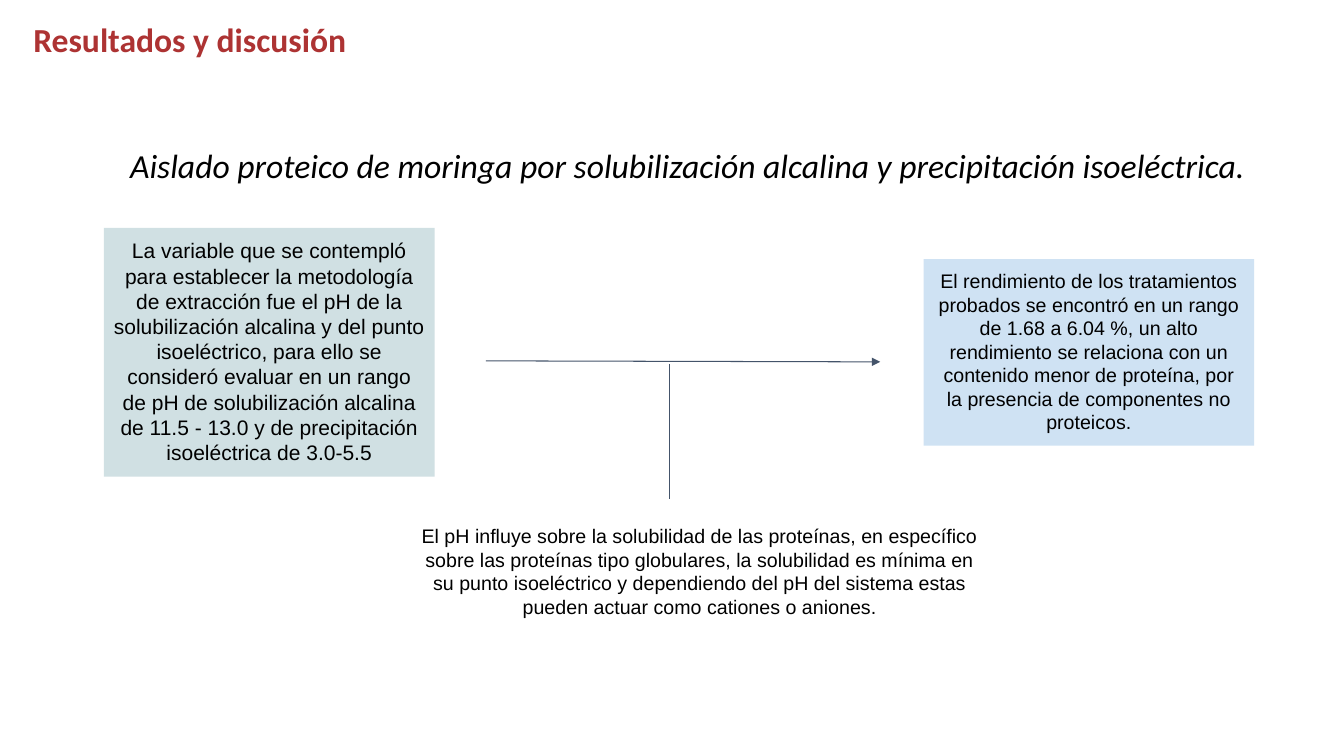
from dataclasses import dataclass
from typing import Optional

from lxml.etree import SubElement
from pptx import Presentation
from pptx.dml.color import RGBColor
from pptx.enum.shapes import MSO_CONNECTOR as Connector, MSO_SHAPE as Preset
from pptx.enum.text import MSO_ANCHOR as Anchor, MSO_AUTO_SIZE as AutoSize, PP_ALIGN as Align
from pptx.oxml.ns import qn
from pptx.util import Inches, Pt

BLACK = "000000"
RED = "AD3333"
SLATE = "44546A"


@dataclass
class Note:
    text: str
    left: float
    top: float
    width: float
    height: float
    size: int
    fill: Optional[str] = None


@dataclass
class Link:
    start: tuple[float, float]
    end: tuple[float, float]
    arrow: bool = False


NOTES = [
    Note("La variable que se contempló para establecer la metodología de extracción fue "
         "el pH de la solubilización alcalina y del punto isoeléctrico, para ello se "
         "consideró evaluar en un rango de pH de solubilización alcalina de 11.5 - 13.0 "
         "y de precipitación isoeléctrica de 3.0-5.5",
         1.03, 2.26, 3.28, 2.47, 15, "D0E0E3"),
    Note("El pH influye sobre la solubilidad de las proteínas, en específico sobre las "
         "proteínas tipo globulares, la solubilidad es mínima en su punto isoeléctrico y "
         "dependiendo del pH del sistema estas pueden actuar como cationes o aniones.",
         4, 5.1, 5.88, 1.14, 14),
    Note("El rendimiento de los tratamientos probados se encontró en un rango de 1.68 a "
         "6.04 %, un alto rendimiento se relaciona con un contenido menor de proteína, "
         "por la presencia de componentes no proteicos.",
         9.16, 2.57, 3.28, 1.85, 14, "CFE2F3"),
]
LINKS = [
    Link((4.82, 3.58), (8.73, 3.59), arrow=True),
    Link((6.64, 3.61), (6.64, 4.95)),
]


def rgb(value: str) -> RGBColor:
    return RGBColor.from_string(value)


def style_text(paragraph, font_name: str, size: int, color: str,
               bold: bool = False, italic: bool = False) -> None:
    for run in paragraph.runs:
        font = run.font
        font.name, font.size = font_name, Pt(size)
        font.bold, font.italic = bold, italic
        font.color.rgb = rgb(color)


def fill_placeholder(holder, text: str, left: float, top: float, width: float, height: float):
    """Move a placeholder, set its text and return its paragraph."""
    holder.left, holder.top = Inches(left), Inches(top)
    holder.width, holder.height = Inches(width), Inches(height)
    frame = holder.text_frame
    frame.text = text
    frame.vertical_anchor = Anchor.TOP
    frame.auto_size = AutoSize.NONE
    paragraph = frame.paragraphs[0]
    paragraph.alignment = Align.LEFT
    paragraph.line_spacing = 0.9
    return paragraph


def add_note(slide, note: Note) -> None:
    box = [Inches(n) for n in (note.left, note.top, note.width, note.height)]
    if note.fill:
        shape = slide.shapes.add_shape(Preset.RECTANGLE, *box)
        shape.shadow.inherit = False
        shape.fill.solid()
        shape.fill.fore_color.rgb = rgb(note.fill)
        shape.line.fill.background()
    else:
        shape = slide.shapes.add_textbox(*box)
    frame = shape.text_frame
    frame.text = note.text
    frame.word_wrap = True
    frame.auto_size = AutoSize.SHAPE_TO_FIT_TEXT
    frame.vertical_anchor = Anchor.TOP
    frame.margin_left = frame.margin_right = Inches(0.1)
    frame.margin_top = frame.margin_bottom = Inches(0.1)
    paragraph = frame.paragraphs[0]
    paragraph.alignment = Align.CENTER
    style_text(paragraph, "Arial", note.size, BLACK)


def add_link(slide, link: Link) -> None:
    ends = [Inches(n) for n in (*link.start, *link.end)]
    connector = slide.shapes.add_connector(Connector.STRAIGHT, *ends)
    connector.line.color.rgb = rgb(SLATE)
    connector.line.width = Pt(0.75)
    if link.arrow:
        SubElement(connector.line._get_or_add_ln(), qn("a:tailEnd"), type="triangle")
    SubElement(connector._element.spPr, qn("a:effectLst"))


def main() -> None:
    deck = Presentation()
    deck.slide_width, deck.slide_height = Inches(13.33), Inches(7.5)
    slide = deck.slides.add_slide(deck.slide_layouts[1])

    heading = fill_placeholder(slide.shapes.title, "Resultados y discusión",
                               0.23, 0.18, 11.5, 1.08)
    style_text(heading, "Calibri", 24, RED, bold=True)

    topic = fill_placeholder(
        slide.placeholders[1],
        "Aislado proteico de moringa por solubilización alcalina y precipitación isoeléctrica.",
        0.69, 1.43, 11.95, 5.51)
    topic.space_before = Pt(10)
    style_text(topic, "Calibri", 24, BLACK, italic=True)
    properties = topic._p.get_or_add_pPr()
    properties.set("marL", str(Inches(0.5)))
    properties.set("indent", "0")
    SubElement(properties, qn("a:buNone"))

    for note in NOTES:
        add_note(slide, note)
    for link in LINKS:
        add_link(slide, link)
    deck.save("out.pptx")


if __name__ == "__main__":
    main()
